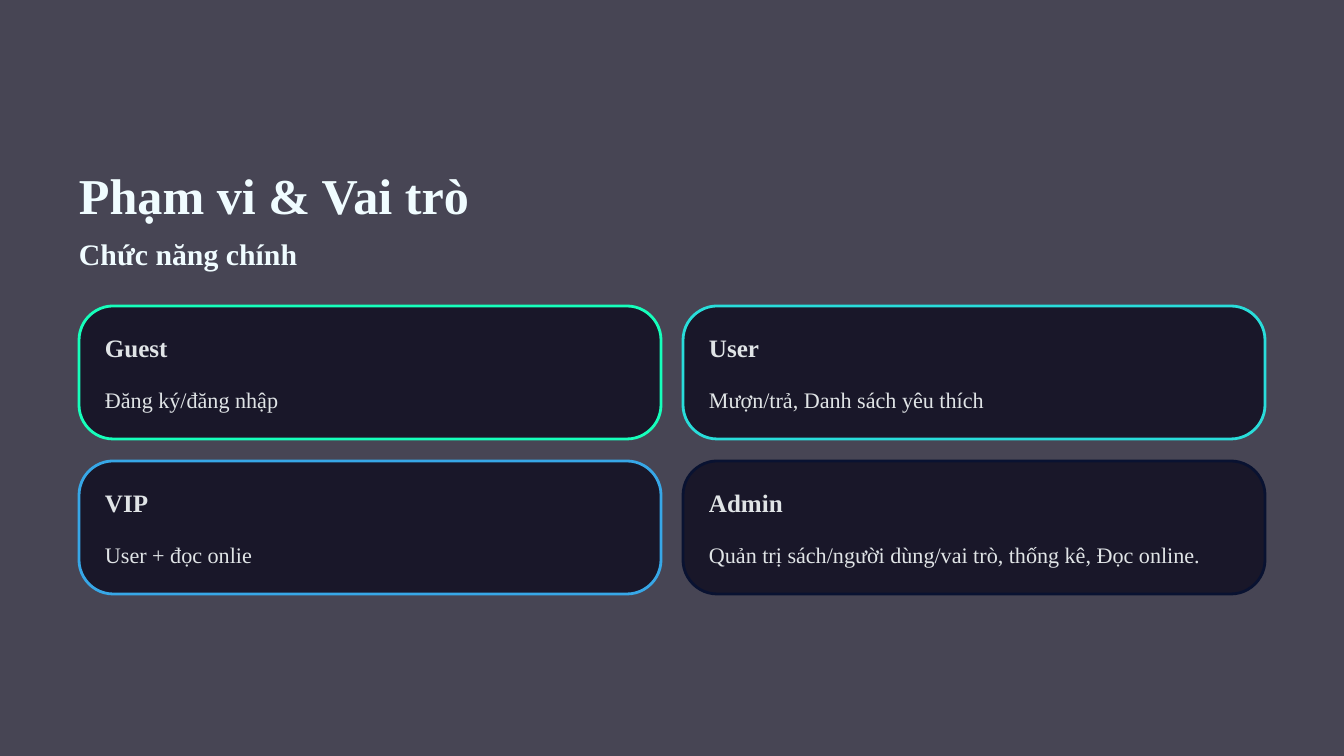
from lxml import etree
from pptx import Presentation, util as u
from pptx.dml.color import RGBColor
from pptx.enum import shapes
from pptx.oxml.ns import qn

PX = 914400 / 84
FONT = "Times New Roman"
DARK, PALE, GREY = "0A081B", "F0FCFF", "E0E4E6"
TITLE = {"size": u.Pt(43), "bold": True}
SUB = {"size": u.Pt(25.5), "bold": True}
ROLE = {"size": u.Pt(21.5), "bold": True}
TASK = {"size": u.Pt(19), "bold": False}
CARDS = [
    ("Guest", "Đăng ký/đăng nhập", "16FFBB"),
    ("User", "Mượn/trả, Danh sách yêu thích", "29DDDA"),
    ("VIP", "User + đọc onlie", "37A7E7"),
    ("Admin", "Quản trị sách/người dùng/vai trò, thống kê, Đọc online.", "091231"),
]


def emu(*sizes):
    return [u.Emu(round(size * PX)) for size in sizes]


def color(code):
    return RGBColor.from_string(code)


def add_panel(slide, kind, box, edge=None):
    """Add a dark shape at 75% opacity, with an optional outline."""
    panel = slide.shapes.add_shape(kind, *emu(*box))
    panel.shadow.inherit = False
    panel.fill.solid()
    panel.fill.fore_color.rgb = color(DARK)
    tint = panel.fill._xPr.find(qn("a:solidFill"))[0]
    etree.SubElement(tint, qn("a:alpha"), val="75000")
    if edge:
        panel.line.color.rgb = color(edge)
        panel.line.width = u.Pt(2.4)
    else:
        panel.line.fill.background()
    return panel


def add_label(slide, box, words, style, tone, pitch):
    frame = slide.shapes.add_textbox(*emu(*box)).text_frame
    frame.word_wrap = False
    for side in ("left", "top", "right", "bottom"):
        setattr(frame, f"margin_{side}", 0)
    line = frame.paragraphs[0]
    line.line_spacing = u.Pt(pitch)
    run = line.add_run()
    run.text = words
    for key, value in {"name": FONT, **style}.items():
        setattr(run.font, key, value)
    run.font.color.rgb = color(tone)


def add_head(slide, left, top):
    add_label(slide, (left, top, 504, 63), "Phạm vi & Vai trò", TITLE, PALE, 54)
    add_label(slide, (left, top + 72, 302, 38), "Chức năng chính", SUB, PALE, 32)


def add_card(slide, box, role, task, edge):
    left, top, wide, _ = box
    card = add_panel(slide, shapes.MSO_SHAPE.ROUNDED_RECTANGLE, box, edge)
    card.adjustments[0] = 0.257
    add_label(slide, (left + 26, top + 25, 252, 32), role, ROLE, GREY, 27)
    add_label(slide, (left + 26, top + 71, wide - 51, 36), task, TASK, GREY, 31)


def add_grid(slide, left, top, wide, high, gap):
    """Place the role cards in two columns."""
    for i, card in enumerate(CARDS):
        row, col = divmod(i, 2)
        box = (left + col * (wide + gap), top + row * (high + gap), wide, high)
        add_card(slide, box, *card)


def main():
    deck = Presentation()
    deck.slide_width, deck.slide_height = emu(1344, 756)
    slide = deck.slides.add_slide(deck.slide_layouts[6])
    add_panel(slide, shapes.MSO_SHAPE.RECTANGLE, (0, 0, 1344, 756))
    add_head(slide, 79, 162)
    add_grid(slide, 79, 306, 582, 133, 22)
    deck.save("out.pptx")


if __name__ == "__main__":
    main()
